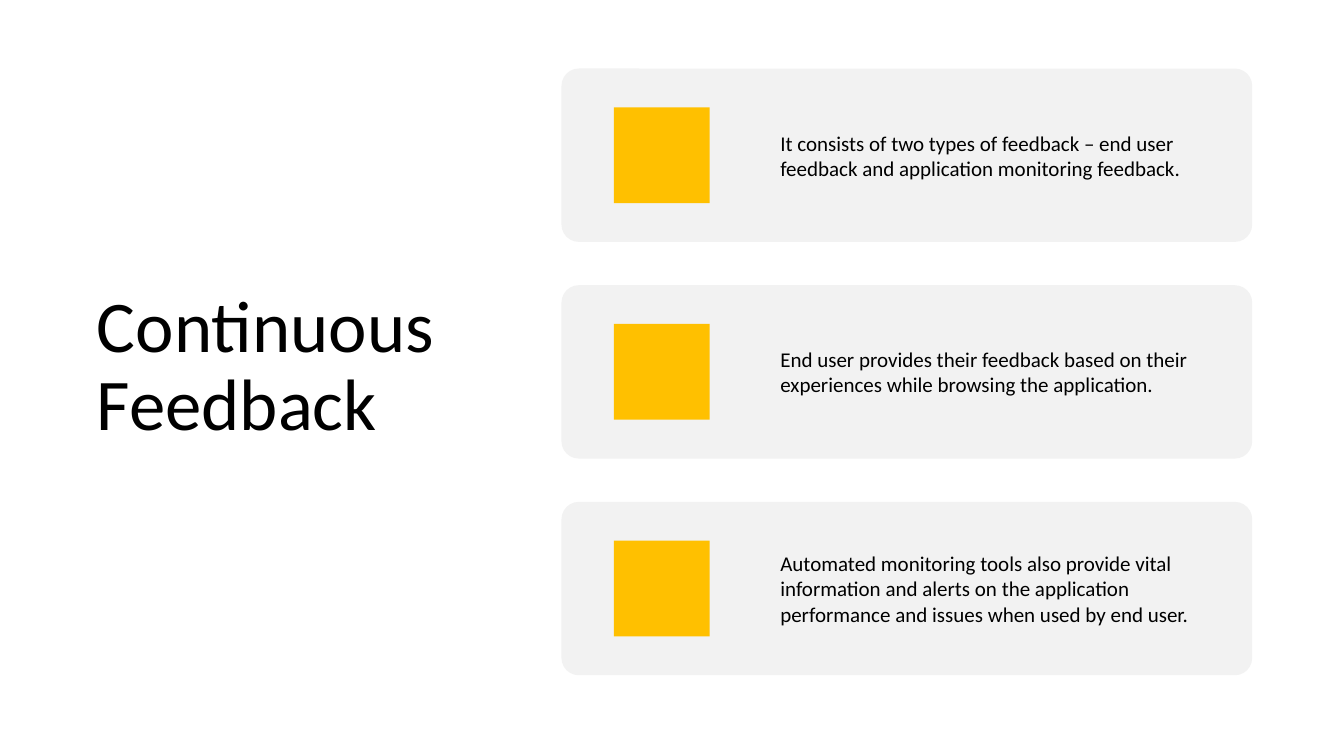
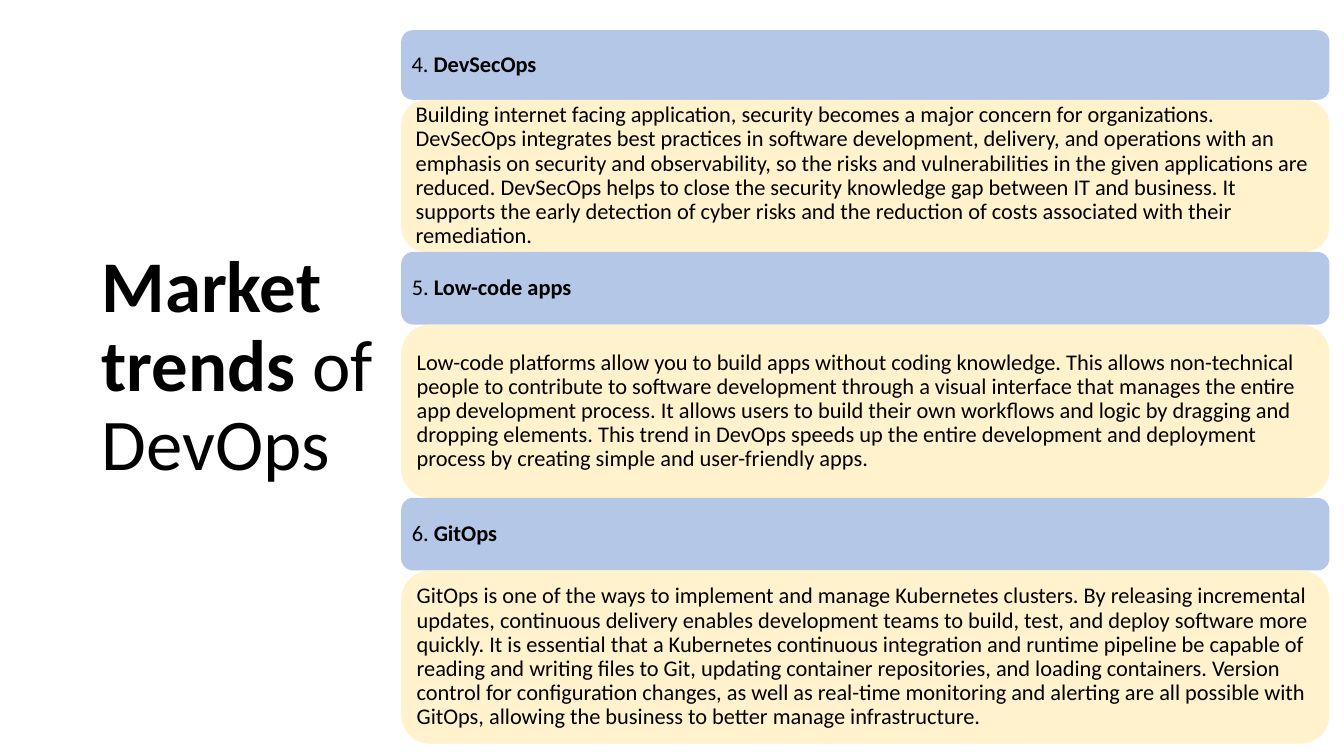
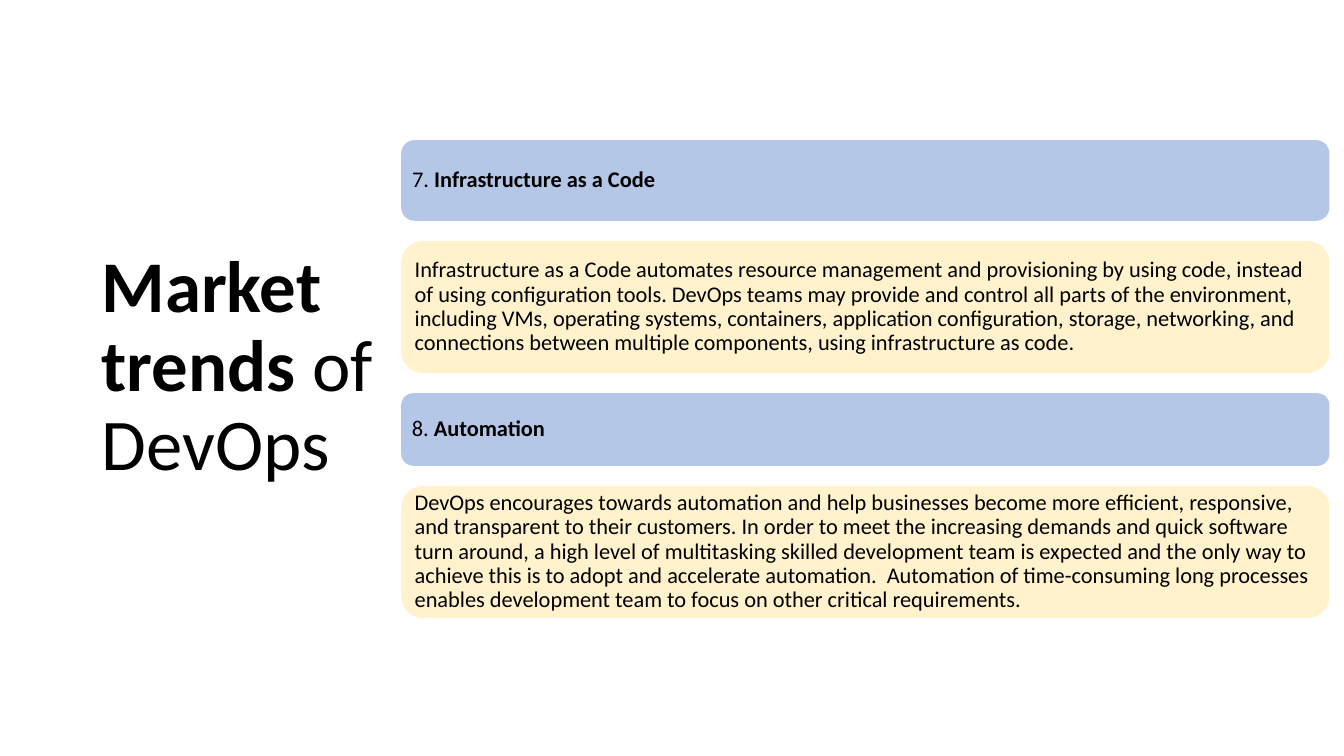
from pptx import Presentation
from pptx.dml.color import RGBColor
from pptx.enum.shapes import MSO_SHAPE
from pptx.enum.text import MSO_ANCHOR, PP_ALIGN
from pptx.util import Inches, Pt

ROUNDED = MSO_SHAPE.ROUNDED_RECTANGLE
SQUARE = MSO_SHAPE.RECTANGLE
MIDDLE = MSO_ANCHOR.MIDDLE
LEFT = PP_ALIGN.LEFT

COLORS = {
    "text": "000000",
    "card": "F2F2F2",
    "icon": "FFC000",
    "heading": "B4C7E7",
    "body": "FFF2CC",
}
FONT = "Calibri"
TITLE_SIZE = 52
TITLE_TOP, TITLE_HEIGHT = 8, 81.33

presentation = Presentation()
presentation.slide_width = Inches(13.33)
presentation.slide_height = Inches(7.5)
BLANK = presentation.slide_layouts[6]

# The slide is a grid of 100 columns by 100 rows
COLUMN = presentation.slide_width / 100
ROW = presentation.slide_height / 100


def add_block(slide, color, left, top, width, height, geometry=ROUNDED):
    """Add a filled shape without outline, placed in columns and rows."""
    shape = slide.shapes.add_shape(
        geometry, int(left * COLUMN), int(top * ROW),
        int(width * COLUMN), int(height * ROW))
    shape.shadow.inherit = False
    shape.fill.solid()
    shape.fill.fore_color.rgb = RGBColor.from_string(COLORS[color])
    shape.line.fill.background()
    return shape


def write_runs(shape, runs, size, margins, line_spacing=0.9):
    """Fill a shape with one paragraph of (text, bold) runs; margins in inches."""
    frame = shape.text_frame
    frame.word_wrap = True
    frame.vertical_anchor = MIDDLE
    (frame.margin_left, frame.margin_top,
     frame.margin_right, frame.margin_bottom) = [Inches(m) for m in margins]
    paragraph = frame.paragraphs[0]
    paragraph.alignment = LEFT
    paragraph.line_spacing = line_spacing
    for text, bold in runs:
        run = paragraph.add_run()
        run.text = text
        run.font.name = FONT
        run.font.size = Pt(size)
        run.font.bold = bold
        run.font.color.rgb = RGBColor.from_string(COLORS["text"])


TREND_TITLE = [("Market trends", True), (" of DevOps", False)]
TREND_TITLE_PLACE = (6.83, 21.98)
titles = [
    ([("Continuous Feedback", False)], (6.48, 31.3)),
    (TREND_TITLE, TREND_TITLE_PLACE),
    (TREND_TITLE, TREND_TITLE_PLACE),
]
slides = []
for runs, (left, width) in titles:
    slide = presentation.slides.add_slide(BLANK)
    title = slide.shapes.add_textbox(
        int(left * COLUMN), int(TITLE_TOP * ROW),
        int(width * COLUMN), int(TITLE_HEIGHT * ROW))
    write_runs(title, runs, TITLE_SIZE, (0.1, 0.05, 0.1, 0.05))
    slides.append(slide)
feedback_slide, *trend_slides = slides

# Continuous feedback: three cards, each with a square icon
CARD_LEFT, CARD_WIDTH = 41.78, 51.39
CARD_TOP, CARD_HEIGHT = 9.07, 22.93
CARD_STEP = CARD_HEIGHT * 1.25
ICON_LEFT, ICON_WIDTH, ICON_HEIGHT = 45.68, 7.13, 12.67
feedback_points = [
    "It consists of two types of feedback – end user feedback and application "
    "monitoring feedback.",
    "End user provides their feedback based on their experiences while browsing "
    "the application.",
    "Automated monitoring tools also provide vital information and alerts on the "
    "application performance and issues when used by end user.",
]
for index, point in enumerate(feedback_points):
    top = CARD_TOP + index * CARD_STEP
    card = add_block(feedback_slide, "card", CARD_LEFT, top, CARD_WIDTH, CARD_HEIGHT)
    card.adjustments[0] = 0.1
    write_runs(card, [(point, False)], 15, (2.12, 0.13, 0.13, 0.13), 1.0)
    add_block(feedback_slide, "icon", ICON_LEFT, top + (CARD_HEIGHT - ICON_HEIGHT) / 2,
              ICON_WIDTH, ICON_HEIGHT, SQUARE)

# Market trends: a heading band above a body panel for each trend
BAND_LEFT, BAND_WIDTH = 29.85, 69.07
# Each stack: first row, gap in rows,
# trends as (number, name, heading rows, body rows, body text)
trend_stacks = [
    (4, 0, [
        ("4. ", "DevSecOps", 9.2, 20.13,
         "Building internet facing application, security becomes a major concern for "
         "organizations. DevSecOps integrates best practices in software development, "
         "delivery, and operations with an emphasis on security and observability, so "
         "the risks and vulnerabilities in the given applications are reduced. "
         "DevSecOps helps to close the security knowledge gap between IT and business. "
         "It supports the early detection of cyber risks and the reduction of costs "
         "associated with their remediation."),
        ("5. ", "Low-code apps", 9.6, 22.93,
         "Low-code platforms allow you to build apps without coding knowledge. This "
         "allows non-technical people to contribute to software development through a "
         "visual interface that manages the entire app development process. It allows "
         "users to build their own workflows and logic by dragging and dropping "
         "elements. This trend in DevOps speeds up the entire development and "
         "deployment process by creating simple and user-friendly apps."),
        ("6. ", "GitOps", 9.6, 22.93,
         "GitOps is one of the ways to implement and manage Kubernetes clusters. By "
         "releasing incremental updates, continuous delivery enables development teams "
         "to build, test, and deploy software more quickly. It is essential that a "
         "Kubernetes continuous integration and runtime pipeline be capable of reading "
         "and writing files to Git, updating container repositories, and loading "
         "containers. Version control for configuration changes, as well as real-time "
         "monitoring and alerting are all possible with GitOps, allowing the business "
         "to better manage infrastructure."),
    ]),
    (18.53, 2.67, [
        ("7. ", "Infrastructure as a Code", 10.67, 17.47,
         "Infrastructure as a Code automates resource management and provisioning by "
         "using code, instead of using configuration tools. DevOps teams may provide "
         "and control all parts of the environment, including VMs, operating systems, "
         "containers, application configuration, storage, networking, and connections "
         "between multiple components, using infrastructure as code."),
        ("8. ", "Automation", 9.6, 17.47,
         "DevOps encourages towards automation and help businesses become more "
         "efficient, responsive, and transparent to their customers. In order to meet "
         "the increasing demands and quick software turn around, a high level of "
         "multitasking skilled development team is expected and the only way to achieve "
         "this is to adopt and accelerate automation.  Automation of time-consuming "
         "long processes enables development team to focus on other critical "
         "requirements."),
    ]),
]
for slide, (top, gap, trends) in zip(trend_slides, trend_stacks):
    for number, name, heading_rows, body_rows, body in trends:
        bands = [
            ("heading", heading_rows, [(number, False), (name, True)]),
            ("body", body_rows, [(body, False)]),
        ]
        for color, rows, runs in bands:
            band = add_block(slide, color, BAND_LEFT, top, BAND_WIDTH, rows)
            write_runs(band, runs, 16, (0.07, 0.07, 0.07, 0.07))
            top += rows + gap

presentation.save("out.pptx")
